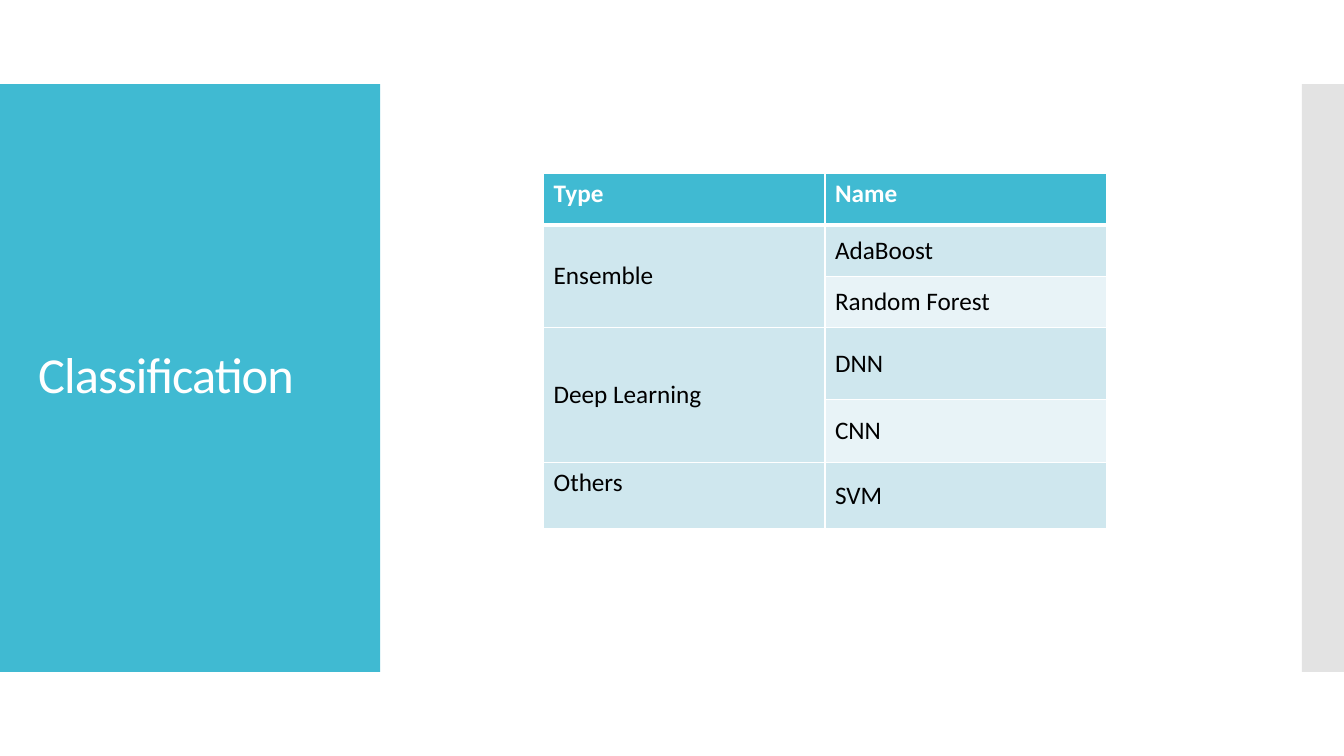
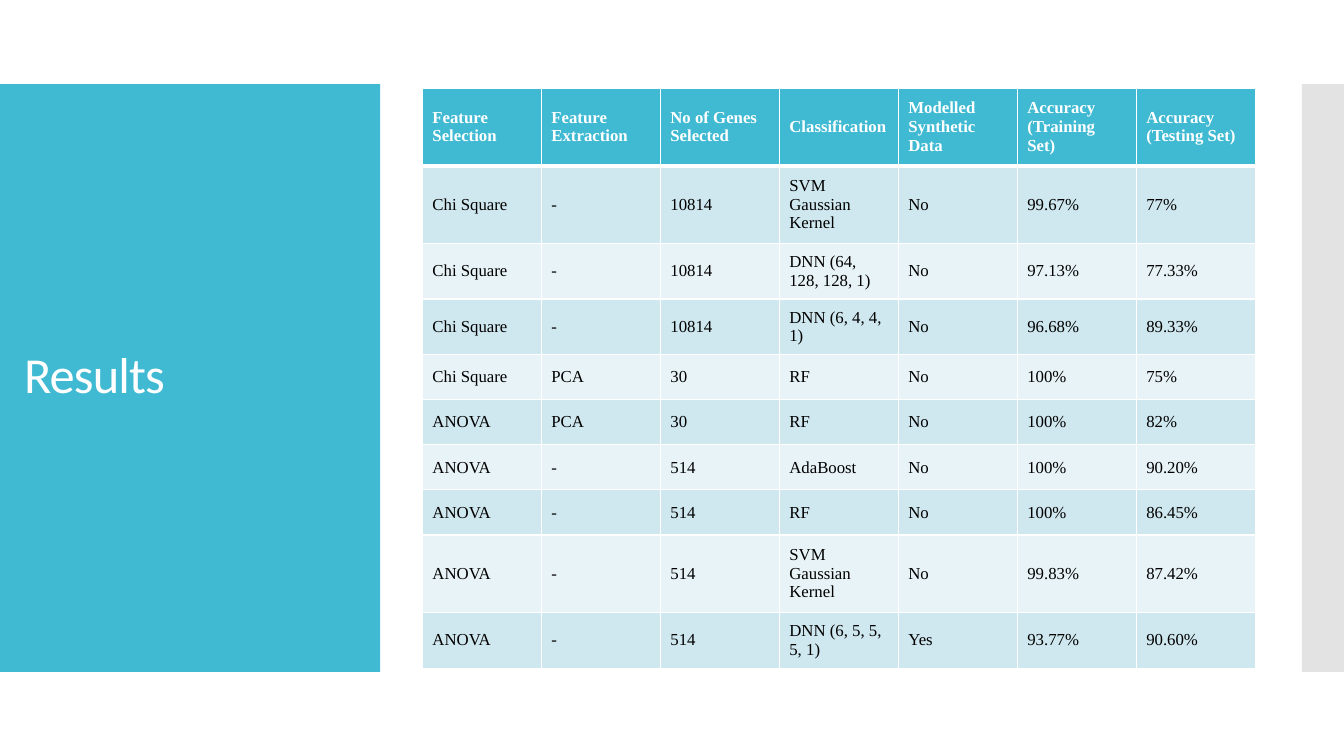
from dataclasses import dataclass
from typing import Optional

from lxml.etree import SubElement
from pptx import Presentation
from pptx.dml.color import RGBColor
from pptx.enum.shapes import MSO_SHAPE
from pptx.enum.text import MSO_ANCHOR, PP_ALIGN
from pptx.oxml.ns import qn
from pptx.util import Pt

TEAL = RGBColor(0x40, 0xBA, 0xD2)
GREY = RGBColor(0xC8, 0xC8, 0xC8)
WHITE = RGBColor(0xFF, 0xFF, 0xFF)
BLACK = RGBColor(0x00, 0x00, 0x00)
BAND_DARK = RGBColor(0xCF, 0xE7, 0xEE)
BAND_LIGHT = RGBColor(0xE8, 0xF3, 0xF7)
TITLE_FONT = "Calibri"


@dataclass(frozen=True)
class Band:
    left: float
    width: float
    color: RGBColor
    opacity: int = 100


@dataclass(frozen=True)
class TableSlide:
    title: str
    title_left: float
    title_width: float
    left: float
    top: float
    col_width: float
    row_heights: list[float]
    font: str
    size: float
    rows: list[list[Optional[str]]]
    top_cells: tuple[tuple[int, int], ...] = ()


BANDS = [Band(0, 271.5, TEAL), Band(930, 30, GREY, 50)]

SLIDES = [
    TableSlide(
        "Classification", 20, 232, 388.3, 123.9, 201,
        [36.7, 36.7, 36.7, 51.5, 45.2, 46.8], "Calibri", 18,
        [
            ["Type", "Name"],
            ["Ensemble", "AdaBoost"],
            [None, "Random Forest"],
            ["Deep Learning", "DNN"],
            [None, "CNN"],
            ["Others", "SVM"],
        ],
        top_cells=((0, 0), (0, 1), (5, 0)),
    ),
    TableSlide(
        "Results", 10, 248.5, 301.7, 63, 85,
        [55.4, 55.4, 39.8, 39.8, 32.2, 32.2, 32.2, 32.2, 55.4, 39.8],
        "Times New Roman", 12,
        [
            ["Feature Selection", "Feature Extraction", "No of Genes Selected", "Classification",
             "Modelled Synthetic Data", "Accuracy (Training Set)", "Accuracy (Testing Set)"],
            ["Chi Square", "-", "10814", "SVM Gaussian Kernel", "No", "99.67%", "77%"],
            ["Chi Square", "-", "10814", "DNN (64, 128, 128, 1)", "No", "97.13%", "77.33%"],
            ["Chi Square", "-", "10814", "DNN (6, 4, 4, 1)", "No", "96.68%", "89.33%"],
            ["Chi Square", "PCA", "30", "RF", "No", "100%", "75%"],
            ["ANOVA", "PCA", "30", "RF", "No", "100%", "82%"],
            ["ANOVA", "-", "514", "AdaBoost", "No", "100%", "90.20%"],
            ["ANOVA", "-", "514", "RF", "No", "100%", "86.45%"],
            ["ANOVA", "-", "514", "SVM Gaussian Kernel", "No", "99.83%", "87.42%"],
            ["ANOVA", "-", "514", "DNN (6, 5, 5, 5, 1)", "Yes", "93.77%", "90.60%"],
        ],
    ),
]


def add_band(s, band: Band) -> None:
    sp = s.shapes.add_shape(MSO_SHAPE.RECTANGLE, Pt(band.left), Pt(60), Pt(band.width), Pt(420))
    sp.shadow.inherit = False
    sp.fill.solid()
    sp.fill.fore_color.rgb = band.color
    sp.line.fill.background()
    if band.opacity < 100:
        color = sp.element.spPr.find(qn("a:solidFill"))[0]
        SubElement(color, qn("a:alpha"), val=str(band.opacity * 1000))


def format_title(s, spec: TableSlide) -> None:
    sp = s.shapes.title
    s.shapes.element.append(sp.element)
    sp.left, sp.top = Pt(spec.title_left), Pt(88.5)
    sp.width, sp.height = Pt(spec.title_width), Pt(362)
    tf = sp.text_frame
    tf.text = spec.title
    tf.word_wrap = True
    tf.vertical_anchor = MSO_ANCHOR.MIDDLE
    p = tf.paragraphs[0]
    p.alignment = PP_ALIGN.LEFT
    p.line_spacing = 0.9
    r = p.runs[0]
    r.font.name = TITLE_FONT
    r.font.size = Pt(36)
    r.font.color.rgb = WHITE
    r.font._element.set("spc", "-60")


def set_borders(cell, row: int) -> None:
    widths = {"L": 1, "R": 1, "T": 3 if row == 1 else 1, "B": 3 if row == 0 else 1}
    tc_pr = cell._tc.get_or_add_tcPr()
    for side, width in widths.items():
        ln = SubElement(tc_pr, qn(f"a:ln{side}"), w=str(Pt(width)))
        fill = SubElement(ln, qn("a:solidFill"))
        SubElement(fill, qn("a:srgbClr"), val=str(WHITE))


def format_cell(cell, row: int, col: int, spec: TableSlide) -> None:
    header = row == 0
    set_borders(cell, row)
    cell.fill.solid()
    cell.fill.fore_color.rgb = TEAL if header else BAND_DARK if row % 2 else BAND_LIGHT
    at_top = (row, col) in spec.top_cells
    cell.vertical_anchor = MSO_ANCHOR.TOP if at_top else MSO_ANCHOR.MIDDLE
    text = spec.rows[row][col]
    if text is None:
        return
    cell.text_frame.text = text
    font = cell.text_frame.paragraphs[0].runs[0].font
    font.name = spec.font
    font.size = Pt(spec.size)
    font.bold = header
    font.color.rgb = WHITE if header else BLACK


def add_grid(s, spec: TableSlide) -> None:
    n_rows, n_cols = len(spec.rows), len(spec.rows[0])
    table = s.shapes.add_table(
        n_rows, n_cols, Pt(spec.left), Pt(spec.top),
        Pt(spec.col_width * n_cols), Pt(sum(spec.row_heights)),
    ).table
    table.horz_banding = False
    for column in table.columns:
        column.width = Pt(spec.col_width)
    for table_row, height in zip(table.rows, spec.row_heights):
        table_row.height = Pt(height)
    for row, texts in enumerate(spec.rows):
        for col, text in enumerate(texts):
            format_cell(table.cell(row, col), row, col, spec)
            if text is None:
                table.cell(row - 1, col).merge(table.cell(row, col))


def main() -> None:
    prs = Presentation()
    prs.slide_width, prs.slide_height = Pt(960), Pt(540)
    for spec in SLIDES:
        s = prs.slides.add_slide(prs.slide_layouts[5])
        for band in BANDS:
            add_band(s, band)
        format_title(s, spec)
        add_grid(s, spec)
    prs.save("out.pptx")


if __name__ == "__main__":
    main()
